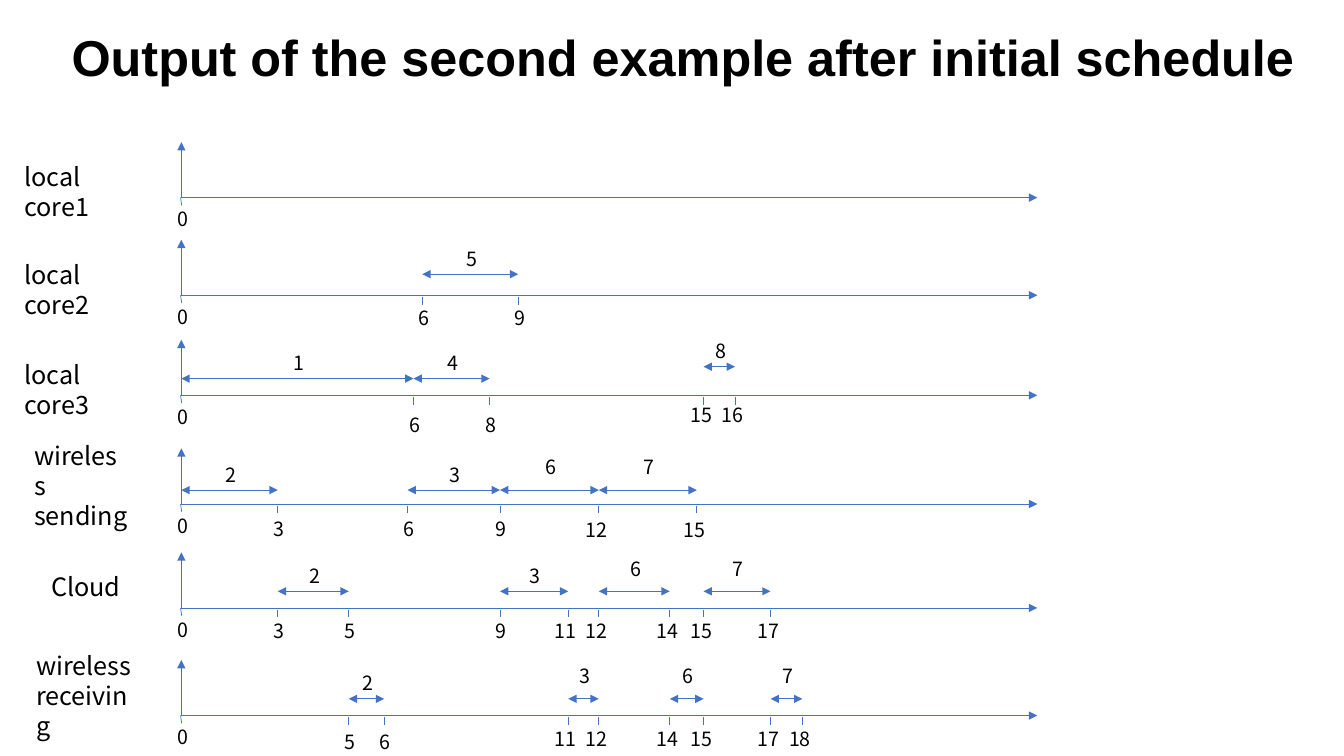
from dataclasses import dataclass, field

from lxml import etree
from pptx import Presentation
from pptx.dml.color import RGBColor
from pptx.enum.shapes import MSO_CONNECTOR
from pptx.enum.text import MSO_ANCHOR, MSO_AUTO_SIZE, PP_ALIGN
from pptx.oxml.ns import qn
from pptx.slide import Slide
from pptx.util import Cm, Pt

STRAIGHT = MSO_CONNECTOR.STRAIGHT
MIDDLE = MSO_ANCHOR.MIDDLE
GROW = MSO_AUTO_SIZE.SHAPE_TO_FIT_TEXT
FIXED = MSO_AUTO_SIZE.NONE
LEFT = PP_ALIGN.LEFT
CENTER = PP_ALIGN.CENTER

AXIS_X = 4.55
AXIS_LENGTH = 21.59
AXIS_HEIGHT = 1.4
TICK_LENGTH = 0.2
TICK_DROP = 0.04
ORIGIN_SLANT = 0.03
ORIGIN_LABEL_DROP = 0.12
NUMBER_HEIGHT = 0.86
LOW_LABEL = 0.82
HIGH_LABEL = 1

TIME_X = {0: 4.57, 3: 7, 5: 8.79, 6: 10.42, 8: 12.34, 9: 12.6, 11: 14.32,
          12: 15.09, 14: 16.88, 15: 17.73, 16: 18.52, 17: 19.42, 18: 20.22}


@dataclass(frozen=True)
class Theme:
    title_font: str = "Arial"
    body_font: str = "Noto Sans CJK SC"
    text: RGBColor = RGBColor(0, 0, 0)
    line: RGBColor = RGBColor(0x44, 0x72, 0xC4)
    title_size: float = 36
    lane_size: float = 18
    number_size: float = 14
    line_width: float = 0.5


@dataclass(frozen=True)
class Task:
    name: str
    start: int
    end: int
    label_lift: float = LOW_LABEL
    extra_rise: float = 0


@dataclass(frozen=True)
class LaneLabel:
    text: str
    x: float = 0.36
    rise: float = 1.04
    width: float = 3.61
    height: float = 1.02
    align: PP_ALIGN = LEFT


@dataclass(frozen=True)
class Lane:
    label: LaneLabel
    y: float
    tasks: tuple[Task, ...] = ()
    arrow_rise: float = 0.42
    digit_drop: float = 0.15
    pair_drop: float = 0.16
    moved: dict[int, float] = field(default_factory=dict)

    def time_x(self, time: int) -> float:
        return self.moved.get(time, TIME_X[time])

    def times(self) -> list[int]:
        return sorted({t for task in self.tasks for t in (task.start, task.end)} - {0})


THEME = Theme()

LANES = (
    Lane(LaneLabel("local core1"), 4.98),
    Lane(LaneLabel("local core2"), 7.44, (Task("5", 6, 9),),
         arrow_rise=0.53, moved={6: 10.64, 9: 13.06}),
    Lane(LaneLabel("local core3"), 9.96,
         (Task("1", 0, 6), Task("4", 6, 8), Task("8", 15, 16, extra_rise=0.3)),
         digit_drop=0.32, pair_drop=0.06),
    Lane(LaneLabel("wireless sending", 0.61, 1.73, 2.9, 1.8), 12.7,
         (Task("2", 0, 3), Task("3", 6, 9),
          Task("6", 9, 12, HIGH_LABEL), Task("7", 12, 15, HIGH_LABEL)),
         arrow_rise=0.35, digit_drop=0.2, pair_drop=0.23, moved={6: 10.27, 15: 17.56}),
    Lane(LaneLabel("Cloud", align=CENTER), 15.32,
         (Task("2", 3, 5), Task("3", 9, 11),
          Task("6", 12, 14, HIGH_LABEL), Task("7", 15, 17, HIGH_LABEL))),
    Lane(LaneLabel("wireless receiving", 0.66, 1.78, 3.15, 1.8), 18.03,
         (Task("2", 5, 6), Task("3", 11, 12, HIGH_LABEL),
          Task("6", 14, 15, HIGH_LABEL), Task("7", 17, 18, HIGH_LABEL)),
         digit_drop=0.25, moved={6: 9.68}),
)


def apply(target: object, values: dict[str, object]) -> None:
    for name, value in values.items():
        setattr(target, name, value)


def add_line(s: Slide, x1: float, y1: float, x2: float, y2: float,
             arrows: tuple[str, ...] = ()) -> None:
    c = s.shapes.add_connector(STRAIGHT, Cm(x1), Cm(y1), Cm(x2), Cm(y2))
    c.line.width = Pt(THEME.line_width)
    c.line.color.rgb = THEME.line
    ln = c.line._get_or_add_ln()
    for arrow in arrows:
        etree.SubElement(ln, qn(f"a:{arrow}"), type="triangle")
    etree.SubElement(c._element.spPr, qn("a:effectLst"))


def add_text(s: Slide, text: str, x: float, y: float, w: float, h: float,
             size: float, align: PP_ALIGN = LEFT) -> None:
    sp = s.shapes.add_textbox(Cm(x), Cm(y), Cm(w), Cm(h))
    tf = sp.text_frame
    apply(tf, {"word_wrap": True, "auto_size": GROW})
    p = tf.paragraphs[0]
    p.alignment = align
    r = p.add_run()
    r.text = text
    apply(r.font, {"name": THEME.body_font, "size": Pt(size)})
    r.font.color.rgb = THEME.text


def add_number(s: Slide, text: str, center: float, y: float) -> None:
    width = 0.71 if len(text) == 1 else 1.17
    add_text(s, text, center - width / 2, y, width, NUMBER_HEIGHT, THEME.number_size)


def add_lane(s: Slide, lane: Lane) -> None:
    y, label = lane.y, lane.label
    start = TIME_X[0]
    add_line(s, AXIS_X, y, AXIS_X + AXIS_LENGTH, y, ("tailEnd",))
    add_line(s, start, y, start, y - AXIS_HEIGHT, ("tailEnd",))
    add_text(s, label.text, label.x, y - label.rise, label.width, label.height,
             THEME.lane_size, label.align)
    add_line(s, AXIS_X, y, AXIS_X + ORIGIN_SLANT, y + TICK_LENGTH)
    add_number(s, "0", start, y + ORIGIN_LABEL_DROP)
    for time in lane.times():
        x, top = lane.time_x(time), y + TICK_DROP
        add_line(s, x, top, x, top + TICK_LENGTH)
        drop = lane.digit_drop if time < 10 else lane.pair_drop
        add_number(s, str(time), x, y + drop)
    for task in lane.tasks:
        x1, x2 = lane.time_x(task.start), lane.time_x(task.end)
        arrow_y = y - lane.arrow_rise - task.extra_rise
        add_line(s, x1, arrow_y, x2, arrow_y, ("headEnd", "tailEnd"))
        add_number(s, task.name, (x1 + x2) / 2, arrow_y - task.label_lift)


def add_title(s: Slide, text: str) -> None:
    sp = s.shapes.title
    apply(sp, {"left": Cm(1.55), "top": Cm(0), "width": Cm(31.78), "height": Cm(3.02)})
    tf = sp.text_frame
    apply(tf, {"word_wrap": True, "auto_size": FIXED, "vertical_anchor": MIDDLE})
    p = tf.paragraphs[0]
    apply(p, {"alignment": LEFT, "line_spacing": 0.9})
    r = p.add_run()
    r.text = text
    apply(r.font, {"name": THEME.title_font, "size": Pt(THEME.title_size), "bold": True})
    r.font.color.rgb = THEME.text


def main() -> None:
    prs = Presentation()
    apply(prs, {"slide_width": Cm(33.87), "slide_height": Cm(19.05)})
    s = prs.slides.add_slide(prs.slide_layouts[5])
    add_title(s, "Output of the second example after initial schedule")
    for lane in LANES:
        add_lane(s, lane)
    prs.save("out.pptx")


if __name__ == "__main__":
    main()
